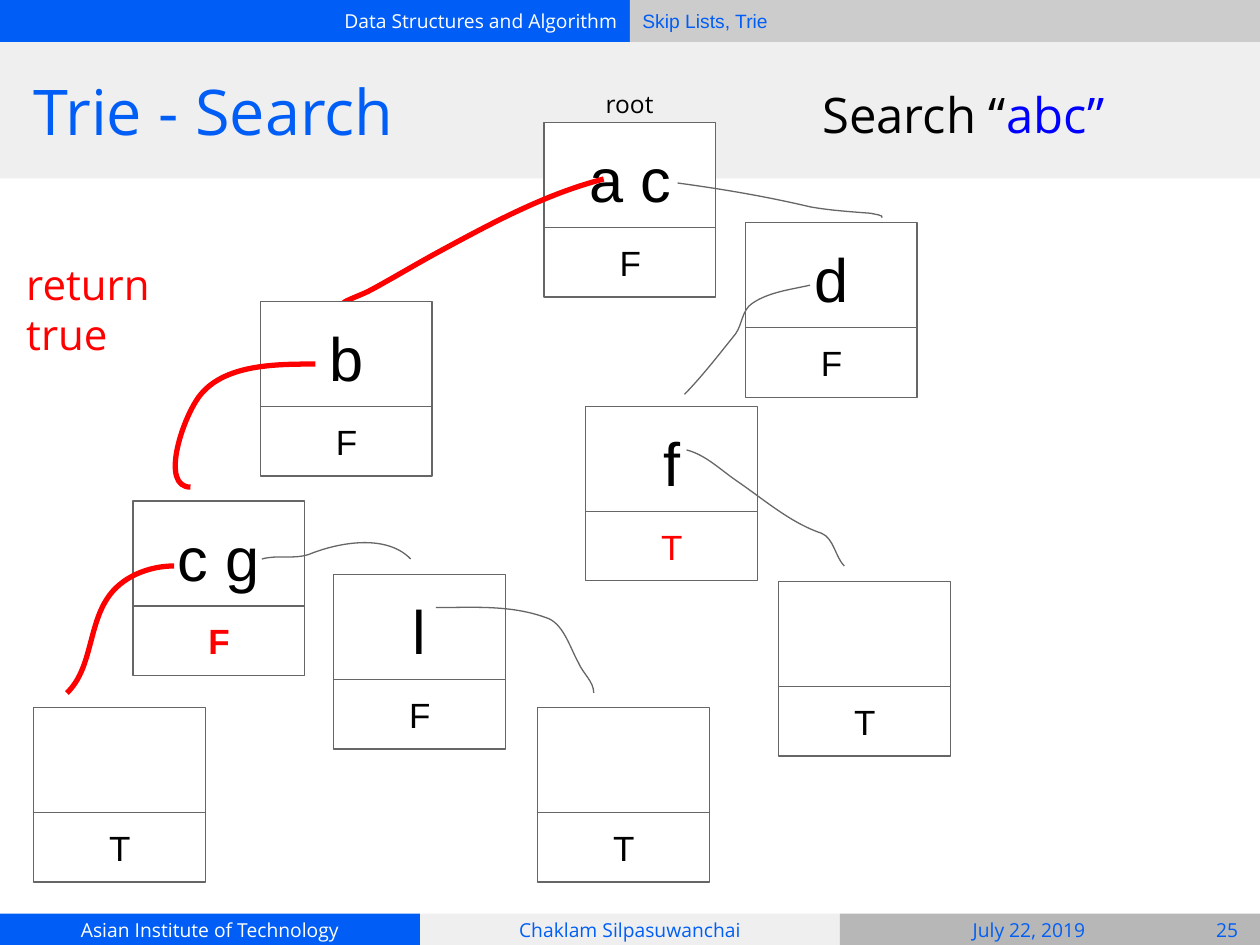
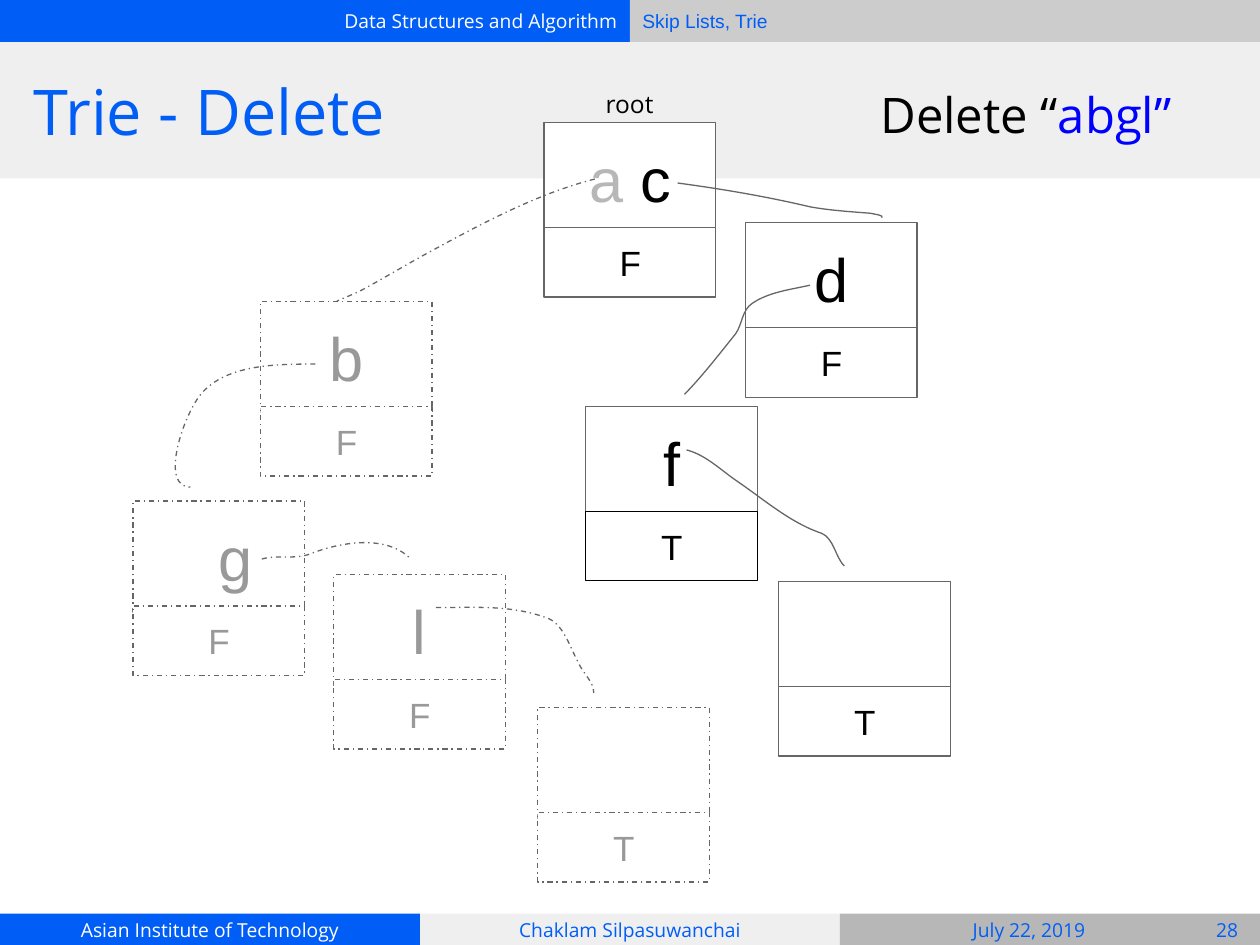
from lxml.etree import SubElement
from pptx import Presentation
from pptx.dml.color import RGBColor
from pptx.enum.dml import MSO_LINE
from pptx.enum.shapes import MSO_SHAPE
from pptx.enum.text import MSO_ANCHOR, PP_ALIGN
from pptx.oxml.ns import qn
from pptx.util import Cm, Pt

# Shared look
BLUE, BLACK, WHITE, RED = "005EF6", "000000", "FFFFFF", "FF0000"
WORD_BLUE, OUTLINE, FADED, FADED_KEY = "0000FF", "666666", "999999", "B7B7B7"
PALE, SILVER, GREY = "EFEFEF", "CCCCCC", "B7B7B7"
SANS, ARIAL = "Open Sans", "Arial"
LEFT, CENTER, RIGHT = PP_ALIGN.LEFT, PP_ALIGN.CENTER, PP_ALIGN.RIGHT

SLIDE_W, SLIDE_H = 25.4, 19.05
HEADER_H, TITLE_H, FOOTER_H = 0.85, 2.75, 0.63
NODE_W, KEYS_H, FLAG_TOP, FLAG_H = 3.46, 2.24, 2.12, 1.4
FLAG_INDENT = 1.27

# Trie nodes in preorder: left and top corner
NODES = {
    "root": (10.97, 2.47),
    "b": (5.25, 6.08),
    "cg": (2.68, 10.1),
    "abc": (0.68, 14.26),
    "l": (6.73, 11.58),
    "abgl": (10.84, 14.26),
    "d": (15.03, 4.49),
    "f": (11.81, 8.19),
    "cdf": (15.7, 11.72),
}

# Curve that leads into each node: a start, then three Bezier points per piece
LINKS = {
    "b": [(12.17, 3.61), (11, 3.91), (9.91, 4.5), (8.84, 5.08), (8.38, 5.33),
          (7.95, 5.59), (7.49, 5.84), (7.32, 5.94), (6.78, 6.12), (6.96, 6.12)],
    "cg": [(6.36, 7.34), (5.56, 7.34), (4.5, 7.34), (4.01, 8), (3.66, 8.48),
           (3.23, 9.82), (3.84, 9.82)],
    "abc": [(3.51, 11.41), (3, 11.41), (2.44, 11.63), (2.16, 12.07),
            (1.78, 12.65), (1.85, 13.49), (1.35, 13.97)],
    "l": [(5.28, 11.27), (5.59, 11.18), (5.92, 11.28), (6.22, 11.18),
          (6.86, 10.92), (7.8, 10.77), (8.28, 11.27)],
    "abgl": [(8.79, 12.25), (9.53, 12.25), (10.29, 12.19), (11, 12.45),
             (11.35, 12.55), (11.48, 13.03), (11.66, 13.36), (11.76, 13.59),
             (11.97, 13.74), (11.97, 13.97)],
    "d": [(13.66, 3.69), (14.55, 3.81), (15.44, 3.96), (16.33, 4.17),
          (16.71, 4.24), (17.15, 4.27), (17.55, 4.3), (17.63, 4.32),
          (17.83, 4.34), (17.78, 4.39)],
    "f": [(16.33, 5.75), (15.93, 5.84), (15.49, 5.89), (15.16, 6.12),
          (14.96, 6.25), (14.96, 6.55), (14.83, 6.73), (14.5, 7.14),
          (14.17, 7.57), (13.8, 7.95)],
    "cdf": [(13.84, 9.07), (14.22, 9.17), (14.5, 9.45), (14.83, 9.68),
            (15.39, 10.06), (15.93, 10.54), (16.56, 10.75), (16.81, 10.85),
            (16.84, 11.23), (17.02, 11.41)],
}


def rgb(hex_color):
    return RGBColor.from_string(hex_color)


def write(shape, runs, size, font=SANS, align=LEFT, anchor=MSO_ANCHOR.MIDDLE,
          margin=0, indent=0, bold=False):
    """Fill a shape with one paragraph of (text, colour) runs."""
    frame = shape.text_frame
    frame.word_wrap = True
    frame.vertical_anchor = anchor
    frame.margin_left = frame.margin_right = Cm(0.25)
    frame.margin_top = frame.margin_bottom = Cm(0.25)
    paragraph = frame.paragraphs[0]
    paragraph.alignment = align
    properties = paragraph._p.get_or_add_pPr()
    properties.set("marL", str(Cm(margin)))
    properties.set("indent", str(Cm(indent)))
    for text, color in runs:
        run = paragraph.add_run()
        run.text = text
        run.font.name, run.font.size, run.font.bold = font, Pt(size), bold
        run.font.color.rgb = rgb(color)


def style_line(line, color, width=0.75, dashed=False):
    line.color.rgb = rgb(color)
    line.width = Pt(width)
    if dashed:
        line.dash_style = MSO_LINE.DASH_DOT


def add_box(shapes, left, top, width, height, fill):
    box = shapes.add_shape(MSO_SHAPE.RECTANGLE, Cm(left), Cm(top), Cm(width), Cm(height))
    box.shadow.inherit = False
    box.fill.solid()
    box.fill.fore_color.rgb = rgb(fill)
    box.line.fill.background()
    return box


def add_label(slide, left, top, width, height, runs, size, **layout):
    label = slide.shapes.add_textbox(Cm(left), Cm(top), Cm(width), Cm(height))
    write(label, runs, size, **layout)


def add_header(slide, width, title):
    half = width / 2
    course = add_box(slide.shapes, 0, 0, half, HEADER_H, BLUE)
    write(course, [("Data Structures and Algorithm", WHITE)], 11, align=RIGHT)
    topic = add_box(slide.shapes, half, 0, half, HEADER_H, SILVER)
    write(topic, [("Skip Lists, Trie", BLUE)], 11, font=ARIAL)
    add_box(slide.shapes, 0, HEADER_H, width, TITLE_H, PALE)
    add_label(slide, 0.43, HEADER_H, width - 0.86, TITLE_H, [(title, BLUE)], 36)


def add_footer(slide, top, width, number):
    third = width / 3
    add_box(slide.shapes, third, top, third, FOOTER_H, PALE)
    add_box(slide.shapes, 2 * third, top, third, FOOTER_H, GREY)
    school = add_box(slide.shapes, 0, top, third, FOOTER_H, BLUE)
    write(school, [("Asian Institute of Technology", WHITE)], 11, align=CENTER)
    labels = [("Chaklam Silpasuwanchai", third, third),
              ("July 22, 2019", 17.15, 7.19),
              (str(number), 24.08, 1.32)]
    for text, left, label_width in labels:
        add_label(slide, left, top, label_width, FOOTER_H, [(text, BLUE)], 11, align=CENTER)


def add_node(slide, left, top, keys, flag, flag_color=BLACK, flag_bold=False,
             flag_outline=OUTLINE, dashed=False, key_margin=0):
    """A node: its keys above, its end-of-word flag below."""
    parts = slide.shapes.add_group_shape().shapes
    keys_box = add_box(parts, left, top, NODE_W, KEYS_H, WHITE)
    style_line(keys_box.line, OUTLINE, dashed=dashed)
    if keys:
        write(keys_box, keys, 35, font=ARIAL, align=CENTER, margin=key_margin)
    flag_box = add_box(parts, left, top + FLAG_TOP, NODE_W, FLAG_H, WHITE)
    style_line(flag_box.line, flag_outline, dashed=dashed)
    write(flag_box, [(flag, flag_color)], 20, font=ARIAL, indent=FLAG_INDENT, bold=flag_bold)


def curve_points(points, steps=20):
    """Points along a chain of cubic Bezier pieces, to find its extent."""
    for first in range(0, len(points) - 1, 3):
        piece = points[first:first + 4]
        for step in range(1, steps + 1):
            t = step / steps
            weights = ((1 - t) ** 3, 3 * t * (1 - t) ** 2, 3 * t * t * (1 - t), t ** 3)
            yield tuple(Cm(sum(w * p[axis] for w, p in zip(weights, piece)))
                        for axis in (0, 1))


def bend(link, points):
    """Give a freeform's outline true Bezier pieces."""
    outline = link._element.find(".//" + qn("a:path"))
    for segment in list(outline):
        outline.remove(segment)
    pieces = [("a:moveTo", points[:1])]
    pieces += [("a:cubicBezTo", points[i:i + 3]) for i in range(1, len(points), 3)]
    for tag, piece in pieces:
        segment = SubElement(outline, qn(tag))
        for x, y in piece:
            SubElement(segment, qn("a:pt"), x=str(Cm(x) - link.left), y=str(Cm(y) - link.top))


def add_link(slide, points, color=OUTLINE, width=0.75, dashed=False, shift=0):
    points = [(x + shift, y) for x, y in points]
    start_x, start_y = points[0]
    builder = slide.shapes.build_freeform(Cm(start_x), Cm(start_y))
    builder.add_line_segments(list(curve_points(points)), close=False)
    link = builder.convert_to_shape()
    bend(link, points)
    link.shadow.inherit = False
    link.fill.background()
    style_line(link.line, color, width, dashed)


def add_trie(slide, contents, links):
    """Draw each node after the curve that leads into it."""
    for name, content in contents.items():
        left, top = NODES[name]
        if name in LINKS:
            add_link(slide, LINKS[name], **links.get(name, {}))
        add_node(slide, left, top, **content)
    add_label(slide, 10.69, 1.55, NODE_W, 1.22, [("root", BLACK)], 14,
              anchor=MSO_ANCHOR.TOP, indent=FLAG_INDENT)


def add_trie_slide(deck, title, number, task, task_left, word, contents, links):
    slide = deck.slides.add_slide(deck.slide_layouts[6])
    add_header(slide, SLIDE_W, title)
    add_footer(slide, SLIDE_H - FOOTER_H, SLIDE_W, number)
    add_trie(slide, contents, links)
    add_label(slide, task_left, 1.45, 25 - task_left, 1.83,
              [(f"{task} “", BLACK), (f"{word}”", WORD_BLUE)], 28, anchor=MSO_ANCHOR.TOP)
    return slide


def node(keys, flag, color=BLACK, **options):
    return {"keys": [(keys, color)] if keys else [], "flag": flag,
            "flag_color": color, **options}


def faded(keys, flag, **options):
    return node(keys, flag, FADED, dashed=True, **options)


def main():
    deck = Presentation()
    deck.slide_width, deck.slide_height = Cm(SLIDE_W), Cm(SLIDE_H)

    # Search: the path that was followed is red
    search = {
        "root": node("a c", "F"),
        "b": node("b", "F"),
        "cg": {**node("c g", "F", flag_bold=True), "flag_color": RED},
        "abc": node("", "T"),
        "l": node("l", "F"),
        "abgl": node("", "T"),
        "d": node("d", "F"),
        "f": {**node("f", "T"), "flag_color": RED},
        "cdf": node("", "T"),
    }
    followed = {"color": RED, "width": 3}
    slide = add_trie_slide(deck, "Trie - Search", 25, "Search", 16.33, "abc", search,
                           {name: followed for name in ("b", "cg", "abc")})
    add_label(slide, 0.28, 4.96, NODE_W, 2.51, [("return true", RED)], 24,
              anchor=MSO_ANCHOR.TOP)

    # Delete: the removed branch is dashed and faded
    delete = {
        "root": {**node("", "F"), "keys": [("a", FADED_KEY), (" c", BLACK)]},
        "b": faded("b", "F"),
        "cg": faded("g", "F", key_margin=0.69),
        "l": faded("l", "F"),
        "abgl": faded("", "T"),
        "d": node("d", "F"),
        "f": node("f", "T", flag_outline=BLACK),
        "cdf": node("", "T"),
    }
    removed = {name: {"dashed": True} for name in ("b", "cg", "l", "abgl")}
    removed["b"]["shift"] = -0.18
    add_trie_slide(deck, "Trie - Delete", 28, "Delete", 17.5, "abgl", delete, removed)

    deck.save("out.pptx")


if __name__ == "__main__":
    main()
